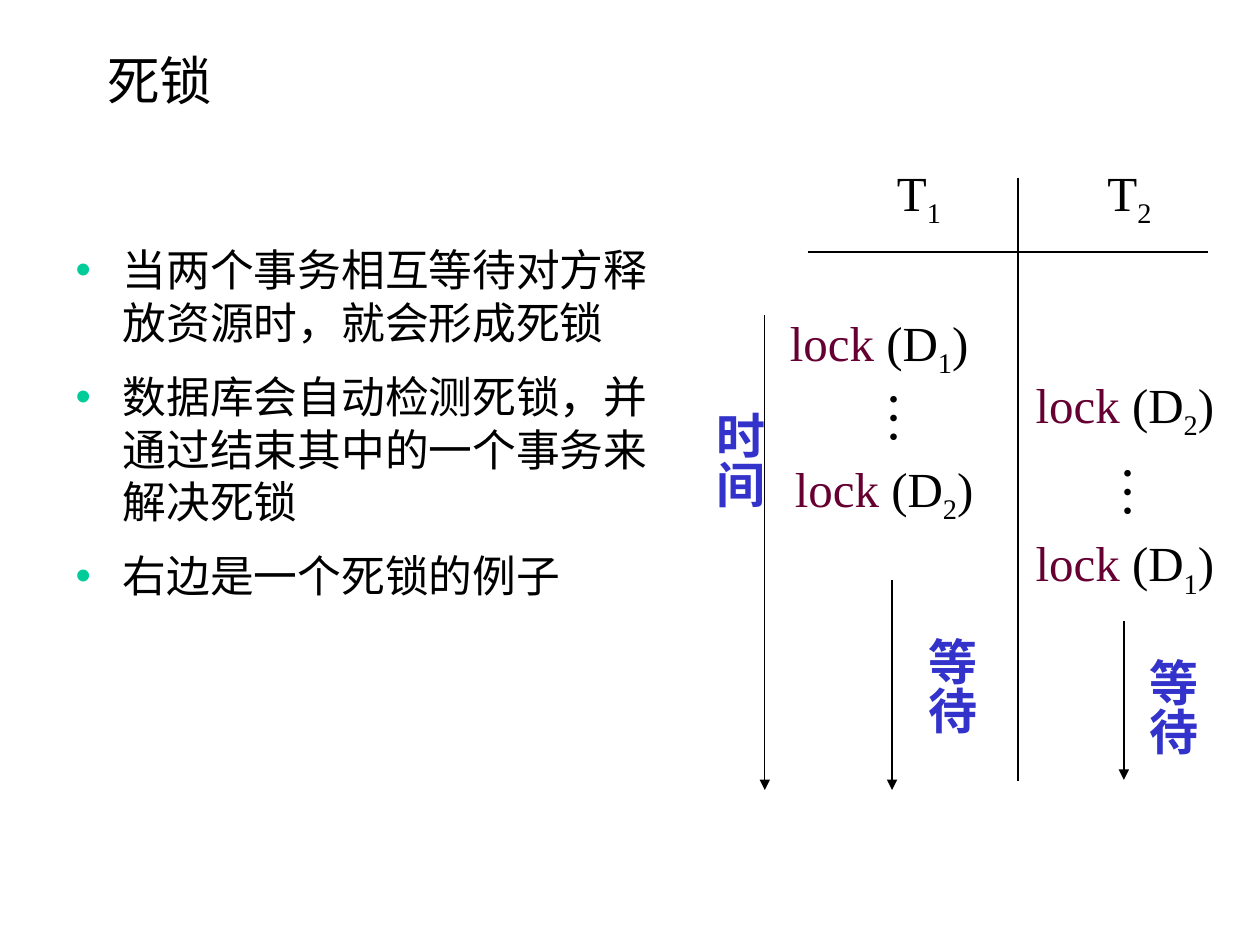
from pptx import Presentation
from pptx.dml.color import RGBColor
from pptx.enum.shapes import MSO_CONNECTOR
from pptx.enum.text import MSO_ANCHOR, MSO_AUTO_SIZE, PP_ALIGN
from pptx.oxml import parse_xml
from pptx.oxml.ns import nsdecls
from pptx.util import Inches, Pt

STRAIGHT = MSO_CONNECTOR.STRAIGHT
LEFT = PP_ALIGN.LEFT
TOP, MIDDLE = MSO_ANCHOR.TOP, MSO_ANCHOR.MIDDLE
GROW, FIXED = MSO_AUTO_SIZE.SHAPE_TO_FIT_TEXT, MSO_AUTO_SIZE.NONE

COLORS = {"black": "000000", "lock": "660033", "label": "3333CC", "bullet": "00CC99"}
SANS, SERIF = "Noto Sans CJK SC", "Times New Roman"

# Content
TITLE = "死锁"
POINTS = [
    "当两个事务相互等待对方释放资源时，就会形成死锁",
    "数据库会自动检测死锁，并通过结束其中的一个事务来解决死锁",
    "右边是一个死锁的例子",
]

# Schedule of the two transactions: left, top, number
HEADINGS = [(7.02, 1.24, "1"), (8.69, 1.24, "2")]
LOCKS = [(6.17, 2.43, "1"), (6.21, 3.59, "2"), (8.12, 2.92, "2"), (8.12, 4.18, "1")]
# Vertical texts: left, top, width, height, text, color, format
LABEL = {"size": Pt(28), "bold": True}
DOTS = {"size": Pt(32)}
VERTICALS = [
    (5.49, 3.17, 0.66, 0.88, "时间", "label", LABEL),
    (7.17, 4.96, 0.66, 0.88, "等待", "label", LABEL),
    (8.93, 5.13, 0.66, 0.88, "等待", "label", LABEL),
    (6.84, 3.00, 0.73, 0.55, "…", "black", DOTS),
    (8.70, 3.59, 0.73, 0.55, "…", "black", DOTS),
]
# Lines: start x, start y, end x, end y
RULES = [(6.41, 2, 9.59, 2), (8.08, 1.41, 8.08, 6.2)]
ARROWS = [(6.07, 2.5, 6.07, 6.27), (7.08, 4.6, 7.08, 6.27), (8.92, 4.93, 8.92, 6.19)]


def set_all(target, values):
    for name, value in values.items():
        setattr(target, name, value)


def add_span(para, text, color, font_name, baseline=None, **values):
    span = para.add_run()
    span.text = text
    set_all(span.font, {"name": font_name, **values})
    span.font.color.rgb = RGBColor.from_string(COLORS[color])
    props = span.font._element
    props.append(parse_xml(f'<a:ea {nsdecls("a")} typeface="{SANS}"/>'))
    if baseline:
        props.set("baseline", str(baseline))


def place(shape, left, top, width, height):
    set_all(shape, {"left": Inches(left), "top": Inches(top),
                    "width": Inches(width), "height": Inches(height)})


def add_box(shapes, left, top, width, height, vertical=False, wrap=False):
    box = shapes.add_textbox(*map(Inches, (left, top, width, height)))
    frame = box.text_frame
    across = Inches(0.05 if vertical else 0.1)
    set_all(frame, {"word_wrap": wrap, "auto_size": GROW,
                    "margin_left": across, "margin_right": across,
                    "margin_top": Inches(0.05), "margin_bottom": Inches(0.05)})
    if vertical:
        frame._txBody.bodyPr.set("vert", "eaVert")
    return frame.paragraphs[0]


def add_line(shapes, ends, arrow=False):
    line = shapes.add_connector(STRAIGHT, *map(Inches, ends))
    line.line.width = Pt(0.75)
    line.line.color.rgb = RGBColor.from_string(COLORS["black"])
    if arrow:
        line.line._get_or_add_ln().append(
            parse_xml(f'<a:tailEnd {nsdecls("a")} type="triangle"/>'))
    line._element.spPr.append(parse_xml(f'<a:effectLst {nsdecls("a")}/>'))


deck = Presentation()
deck.slide_width, deck.slide_height = Inches(10), Inches(7.5)
page = deck.slides.add_slide(deck.slide_layouts[1])

# Title
title = page.shapes.title
place(title, 0.75, 0.2, 9, 0.87)
set_all(title.text_frame, {"auto_size": FIXED, "vertical_anchor": MIDDLE})
heading = title.text_frame.paragraphs[0]
heading.alignment = LEFT
add_span(heading, TITLE, "black", SANS, size=Pt(30))

# Bullet list
body = page.placeholders[1]
place(body, 0.5, 1.88, 5, 4.34)
set_all(body.text_frame, {"auto_size": FIXED, "vertical_anchor": TOP})
for index, point in enumerate(POINTS):
    para = body.text_frame.add_paragraph() if index else body.text_frame.paragraphs[0]
    para._p.get_or_add_pPr().append(parse_xml(
        f'<a:buClr {nsdecls("a")}><a:srgbClr val="{COLORS["bullet"]}"/></a:buClr>'))
    set_all(para, {"line_spacing": 1.0, "space_after": Pt(6.2),
                   "space_before": Pt(6.2 if index else 0)})
    add_span(para, point, "black", SANS, size=Pt(25))

# Schedule diagram
diagram = page.shapes.add_group_shape().shapes
for ends in RULES:
    add_line(diagram, ends)
for ends in ARROWS:
    add_line(diagram, ends, arrow=True)

serif = {"font_name": SERIF, "size": Pt(28)}
for left, top, number in HEADINGS:
    para = add_box(diagram, left, top, 0.55, 0.63)
    add_span(para, "T", "black", **serif)
    add_span(para, number, "black", baseline=-25000, **serif)

for left, top, number in LOCKS:
    para = add_box(diagram, left, top, 1.85, 0.63, wrap=True)
    add_span(para, "lock ", "lock", **serif)
    add_span(para, "(D", "black", **serif)
    add_span(para, number, "black", baseline=-25000, **serif)
    add_span(para, ")", "black", **serif)

for left, top, width, height, text, color, values in VERTICALS:
    para = add_box(diagram, left, top, width, height, vertical=True)
    add_span(para, text, color, SERIF, **values)

deck.save("out.pptx")
